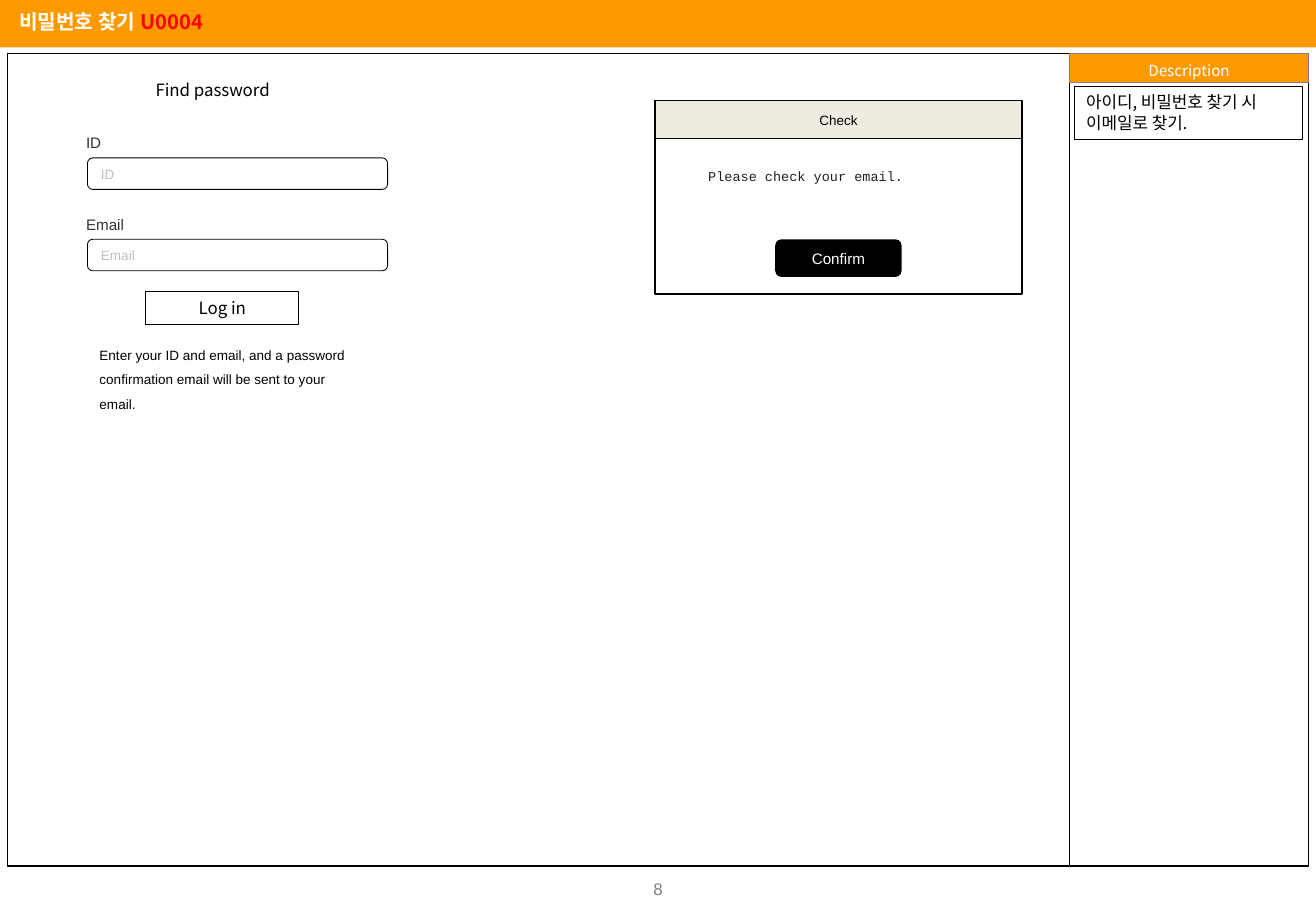
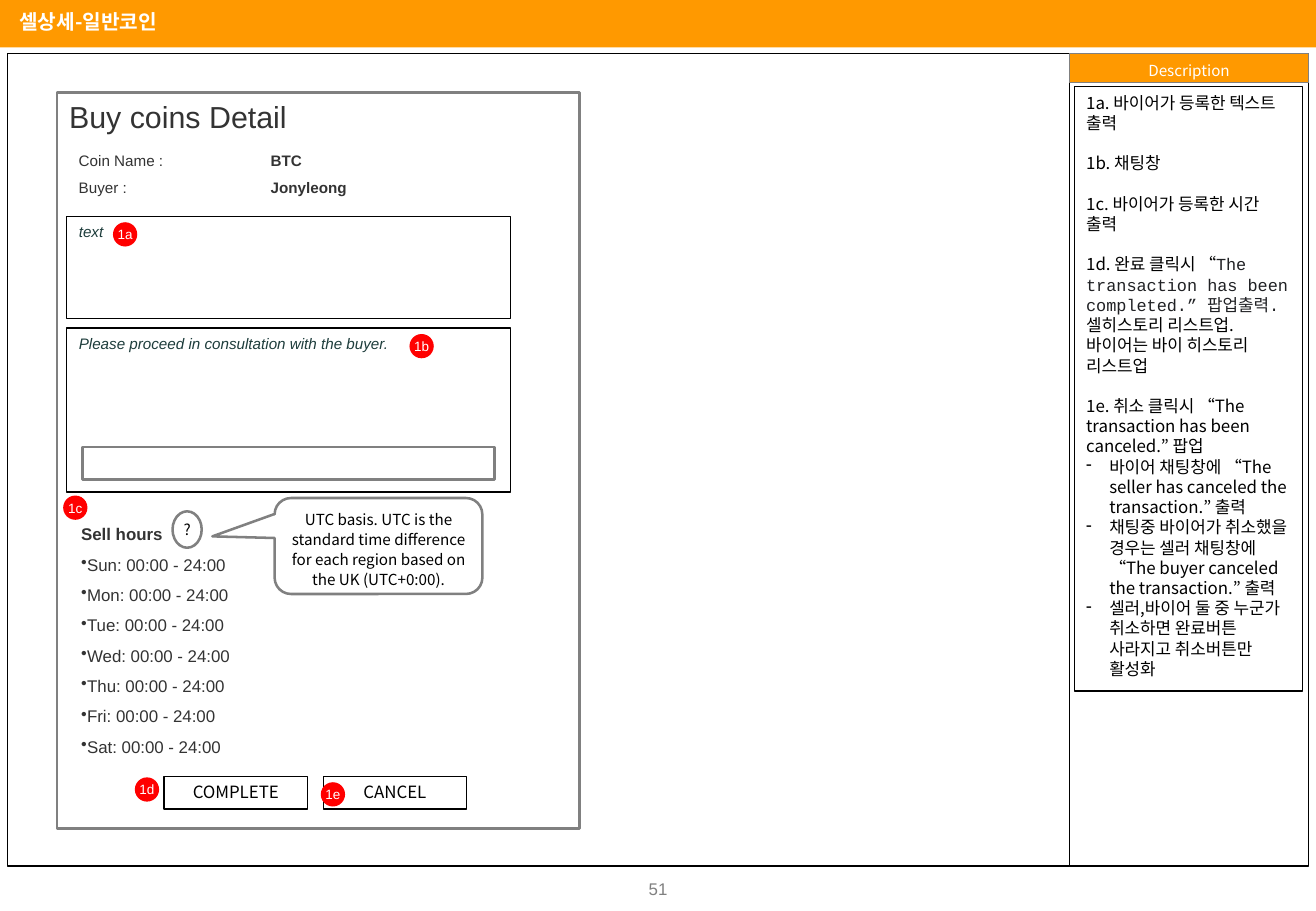
import dataclasses

import lxml.etree
import pptx
import pptx.dml.color
import pptx.enum.shapes
import pptx.enum.text
import pptx.oxml.ns
import pptx.util

Inches = pptx.util.Inches
Pt = pptx.util.Pt
SHAPE = pptx.enum.shapes.MSO_SHAPE
ALIGN = pptx.enum.text.PP_ALIGN
ANCHOR = pptx.enum.text.MSO_ANCHOR
qn = pptx.oxml.ns.qn


@dataclasses.dataclass(frozen=True)
class Theme:
    orange: str = "FF9900"
    red: str = "FF0000"
    white: str = "FFFFFF"
    black: str = "000000"
    gray: str = "808080"
    hint: str = "BFBFBF"
    beige: str = "EEECE1"
    ink: str = "333333"
    code: str = "202124"
    green: str = "1E3D3C"
    korean: str = "Noto Sans CJK KR"
    sans: str = "Arial"
    mono: str = "Courier New"
    heading: int = 18
    title: int = 12
    body: int = 10
    label: int = 9
    small: int = 8
    line_height: float = 1.2
    hairline: float = 0
    thin: float = 0.5
    outline: float = 0.75
    thick: float = 1.5


THEME = Theme()


@dataclasses.dataclass
class Para:
    runs: list
    bullet: str = ""
    indent: float = 0
    after: float = 0


def write_run(paragraph, text, size, font, color, bold=False, italic=False):
    run = paragraph.add_run()
    run.text = text
    run.font.size = Pt(size)
    run.font.bold = bold
    run.font.italic = italic
    run.font.color.rgb = pptx.dml.color.RGBColor.from_string(color)
    run.font.name = font
    east_asian = lxml.etree.SubElement(run.font._element, qn("a:ea"))
    east_asian.set("typeface", THEME.korean)


def write(shape, content, size=THEME.body, font=THEME.korean, color=THEME.black,
          bold=False, italic=False, align=ALIGN.LEFT, anchor=ANCHOR.TOP,
          spacing=1, inset=0.1, tab=0):
    frame = shape.text_frame
    frame.word_wrap = True
    frame.vertical_anchor = anchor
    frame.margin_left = frame.margin_right = Inches(inset)
    frame.margin_top = frame.margin_bottom = Inches(0.05)
    base = dict(size=size, font=font, color=color, bold=bold, italic=italic)
    items = [Para([(content, {})])] if isinstance(content, str) else content
    for index, item in enumerate(items):
        paragraph = frame.paragraphs[0] if index == 0 else frame.add_paragraph()
        paragraph.alignment = align
        paragraph.line_spacing = Pt(size * THEME.line_height * spacing)
        paragraph.space_after = Pt(item.after)
        properties = paragraph._p.get_or_add_pPr()
        if item.bullet:
            properties.set("marL", str(Inches(item.indent)))
            properties.set("indent", str(-Inches(item.indent)))
            lxml.etree.SubElement(properties, qn("a:buChar")).set("char", item.bullet)
        if tab:
            stops = lxml.etree.SubElement(properties, qn("a:tabLst"))
            stop = lxml.etree.SubElement(stops, qn("a:tab"))
            stop.set("pos", str(Inches(tab)))
            stop.set("algn", "l")
        for text, changes in item.runs:
            write_run(paragraph, text, **{**base, **changes})


def add_label(slide, box, content, **text_format):
    label = slide.shapes.add_textbox(*map(Inches, box))
    write(label, content, **text_format)


def add_box(slide, box, kind=SHAPE.RECTANGLE, fill=None, line=None,
            width=THEME.hairline, content=None, **text_format):
    shape = slide.shapes.add_shape(kind, *map(Inches, box))
    shape.shadow.inherit = False
    if fill:
        shape.fill.solid()
        shape.fill.fore_color.rgb = pptx.dml.color.RGBColor.from_string(fill)
    else:
        shape.fill.background()
    if line:
        shape.line.color.rgb = pptx.dml.color.RGBColor.from_string(line)
        shape.line.width = Pt(width)
    else:
        shape.line.fill.background()
    if content:
        write(shape, content, **text_format)
    return shape


def add_button(slide, box, caption):
    add_box(slide, box, line=THEME.black, width=THEME.outline,
            content=caption, align=ALIGN.CENTER)


def add_field(slide, top, caption):
    add_box(slide, (0.72, top + 0.25, 2.47, 0.26), SHAPE.ROUNDED_RECTANGLE,
            line=THEME.black, width=THEME.thin, content=caption,
            size=THEME.small, font=THEME.sans, color=THEME.hint, anchor=ANCHOR.MIDDLE)
    add_label(slide, (0.61, top, 2.57, 0.25), caption,
              size=THEME.label, font=THEME.sans, color=THEME.ink)


def add_marker(slide, left, top, caption):
    add_box(slide, (left, top, 0.2, 0.2), SHAPE.OVAL, fill=THEME.red, content=caption,
            size=THEME.small, font=THEME.sans, color=THEME.white,
            align=ALIGN.CENTER, anchor=ANCHOR.MIDDLE, inset=0)


def add_panel(slide, top, height, caption):
    add_box(slide, (0.55, top, 3.65, height), line=THEME.black, content=caption,
            size=THEME.label, font=THEME.sans, color=THEME.green, italic=True)


def add_page(deck, title, number, description, description_height):
    slide = deck.slides.add_slide(deck.slide_layouts[6])
    add_box(slide, (0, 0, 10.83, 0.39), fill=THEME.orange)
    for left, width in ((0.06, 8.74), (8.8, 1.97)):
        add_box(slide, (left, 0.44, width, 6.69), line=THEME.black)
    add_box(slide, (8.8, 0.44, 1.97, 0.24), fill=THEME.orange, line=THEME.gray,
            content="Description", size=THEME.label, color=THEME.white,
            align=ALIGN.CENTER, spacing=1.1)
    add_label(slide, (0.06, 0.03, 2.77, 0.3), title,
              size=THEME.title, color=THEME.white, bold=True)
    add_box(slide, (8.84, 0.71, 1.88, description_height), line=THEME.black,
            width=THEME.outline, content=description)
    add_label(slide, (5.14, 7.2, 0.55, 0.24), number, size=THEME.body, font=THEME.sans,
              color=THEME.gray, align=ALIGN.CENTER, anchor=ANCHOR.MIDDLE)
    return slide


def build_find_password(deck):
    title = [Para([("비밀번호 찾기 ", {}), ("U0004", {"color": THEME.red})])]
    slide = add_page(deck, title, "8", "아이디, 비밀번호 찾기 시 이메일로 찾기.", 0.44)

    add_label(slide, (0.65, 0.61, 2.2, 0.27), "Find password", align=ALIGN.CENTER)
    for row, caption in enumerate(("ID", "Email")):
        add_field(slide, 1.05 + 0.67 * row, caption)
    add_button(slide, (1.2, 2.4, 1.26, 0.27), "Log in")
    add_label(slide, (0.72, 2.74, 2.38, 0.68),
              "Enter your ID and email, and a password confirmation email "
              "will be sent to your email.",
              size=THEME.small, font=THEME.sans, spacing=1.5)

    add_box(slide, (5.39, 0.83, 3.02, 0.31), fill=THEME.beige, line=THEME.black,
            content="Check", size=THEME.small, font=THEME.sans,
            align=ALIGN.CENTER, anchor=ANCHOR.MIDDLE)
    add_box(slide, (5.39, 1.14, 3.02, 1.28), line=THEME.black)
    add_label(slide, (5.73, 1.33, 2.53, 0.24), "Please check your email.",
              size=THEME.small, font=THEME.mono, color=THEME.code)
    add_box(slide, (6.38, 1.97, 1.04, 0.31), SHAPE.ROUNDED_RECTANGLE, fill=THEME.black,
            content="Confirm", size=THEME.label, font=THEME.sans, color=THEME.white,
            align=ALIGN.CENTER, anchor=ANCHOR.MIDDLE)


def coin_description():
    gap = THEME.body * THEME.line_height
    popup = {"font": THEME.mono, "color": THEME.code}
    notes = [
        [("1a. 바이어가 등록한 텍스트 출력", {})],
        [("1b. 채팅창", {})],
        [("1c. 바이어가 등록한 시간 출력", {})],
        [("1d. 완료 클릭시 “", {}),
         ("The transaction has been completed.” 팝업출력. ", popup),
         ("셀히스토리 리스트업. 바이어는 바이 히스토리 리스트업", {})],
    ]
    cancel_rules = [
        "바이어 채팅창에 “The seller has canceled the transaction.” 출력",
        "채팅중 바이어가 취소했을 경우는 셀러 채팅창에 "
        "“The buyer canceled the transaction.” 출력",
        "셀러,바이어 둘 중 누군가 취소하면 완료버튼 사라지고 취소버튼만 활성화",
    ]
    cancel = "1e. 취소 클릭시 “The transaction has been canceled.” 팝업"
    return ([Para(runs, after=gap) for runs in notes]
            + [Para([(cancel, {})])]
            + [Para([(rule, {})], bullet="-", indent=0.19) for rule in cancel_rules])


def build_coin_detail(deck):
    slide = add_page(deck, "셀상세-일반코인", "51", coin_description(), 4.98)
    framed = dict(fill=THEME.white, line=THEME.gray, width=THEME.thick)
    bold = {"bold": True}

    add_box(slide, (0.47, 0.76, 4.3, 6.06), **framed)
    add_label(slide, (0.47, 0.76, 4.2, 0.4), "Buy coins Detail",
              size=THEME.heading, font=THEME.sans, color=THEME.ink)
    facts = (("Coin Name :", "BTC"), ("Buyer :", "Jonyleong"))
    add_label(slide, (0.55, 1.12, 4.2, 0.53),
              [Para([(name + "\t", {}), (value, bold)]) for name, value in facts],
              size=THEME.label, font=THEME.sans, color=THEME.ink, spacing=1.5, tab=1.58)

    add_panel(slide, 1.78, 0.84, "text")
    add_panel(slide, 2.7, 1.35, "Please proceed in consultation with the buyer.")
    add_box(slide, (0.68, 3.68, 3.39, 0.27), **framed)

    days = ("Sun", "Mon", "Tue", "Wed", "Thu", "Fri", "Sat")
    hours = [Para([(f"{day}: 00:00 - 24:00", {})], bullet="•") for day in days]
    add_label(slide, (0.57, 4.18, 2.63, 2.09), [Para([("Sell hours", bold)])] + hours,
              font=THEME.sans, color=THEME.ink, spacing=1.5)
    add_box(slide, (1.42, 4.21, 0.24, 0.3), SHAPE.OVAL, content="?", size=THEME.label,
            align=ALIGN.CENTER, anchor=ANCHOR.MIDDLE, inset=0, **framed)
    callout = add_box(slide, (2.26, 4.1, 1.71, 0.79), SHAPE.ROUNDED_RECTANGULAR_CALLOUT,
                      content="UTC basis. UTC is the standard time difference for each "
                              "region based on the UK (UTC+0:00).",
                      size=THEME.label, align=ALIGN.CENTER, spacing=1.1, inset=0.08,
                      **framed)
    for index, value in enumerate((-0.8, -0.1, 0.17)):
        callout.adjustments[index] = value

    for column, caption in enumerate(("COMPLETE", "CANCEL")):
        add_button(slide, (1.35 + 1.31 * column, 6.39, 1.18, 0.27), caption)
    markers = (("1a", 0.93, 1.83), ("1b", 3.37, 2.75), ("1c", 0.52, 4.08),
               ("1d", 1.11, 6.4), ("1e", 2.64, 6.44))
    for caption, left, top in markers:
        add_marker(slide, left, top, caption)


def main():
    deck = pptx.Presentation()
    deck.slide_width = Inches(10.83)
    deck.slide_height = Inches(7.5)
    build_find_password(deck)
    build_coin_detail(deck)
    deck.save("out.pptx")


if __name__ == "__main__":
    main()
